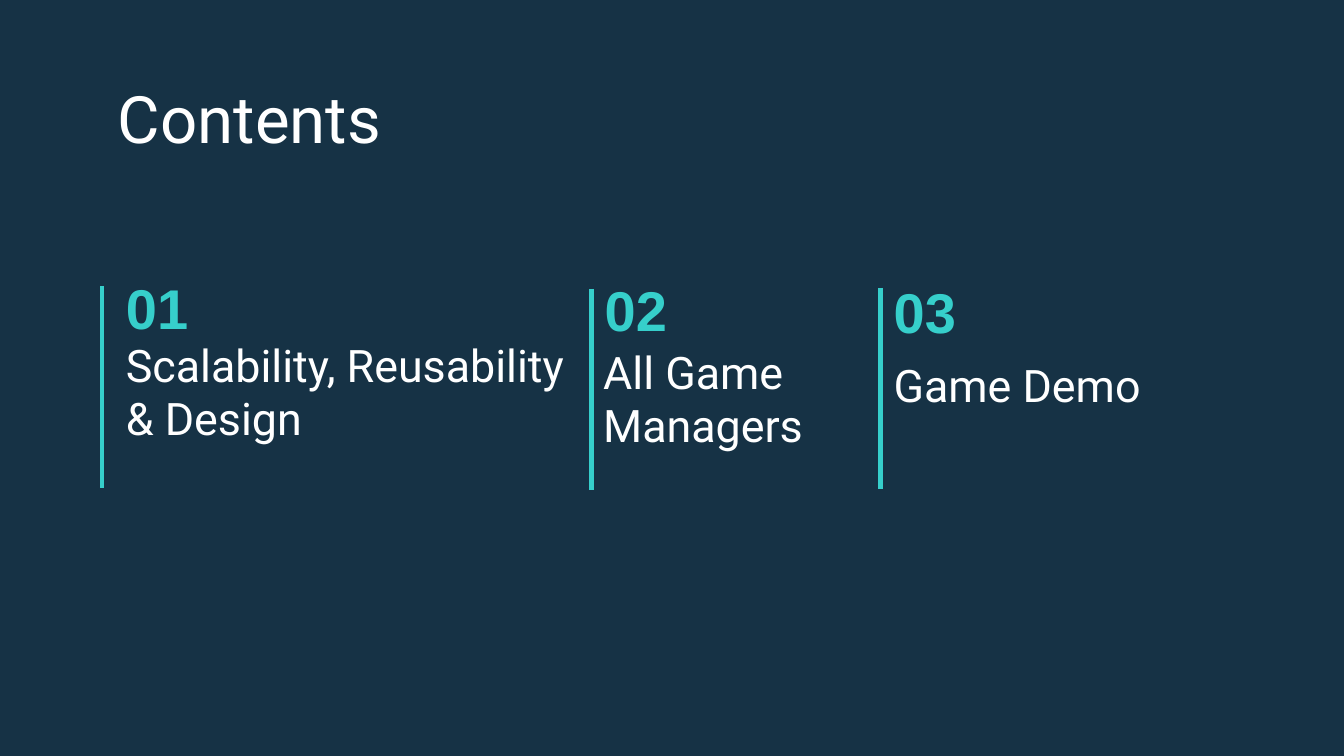
from lxml import etree
from pptx import Presentation
from pptx.dml.color import RGBColor
from pptx.enum.shapes import MSO_CONNECTOR
from pptx.enum.text import MSO_ANCHOR
from pptx.oxml.ns import qn
from pptx.util import Cm, Pt

STRAIGHT = MSO_CONNECTOR.STRAIGHT
TOP, MIDDLE, BOTTOM = MSO_ANCHOR.TOP, MSO_ANCHOR.MIDDLE, MSO_ANCHOR.BOTTOM

COLORS = {"background": "163245", "text": "FFFFFF", "accent": "36CFCB"}
INSET = Cm(0.25)
RULE_LENGTH = 3.81
NUMBER_SIZE = (2.03, 1.6)
CAPTION_WIDTH = 8.84

# number, number position, caption lines, caption position, caption height, rule start
SECTIONS = [
    ("01", (2.13, 5.0), ["Scalability, Reusability & Design"], (2.13, 6.63), 2.03, (1.93, 5.41)),
    ("02", (11.18, 5.05), ["All Game", "Managers"], (11.15, 7.44), 1.35, (11.18, 5.46)),
    ("03", (16.64, 5.08), ["Game Demo"], (16.64, 6.68), 1.35, (16.64, 5.44)),
]


def color(name):
    return RGBColor.from_string(COLORS[name])


def add_text(slide, lines, position, size, points, font="Roboto",
             color_name="text", bold=False, anchor=TOP, spacing=1.0):
    box = slide.shapes.add_textbox(*map(Cm, position + size))
    frame = box.text_frame
    frame.word_wrap = True
    frame.vertical_anchor = anchor
    frame.margin_left = frame.margin_right = INSET
    frame.margin_top = frame.margin_bottom = INSET
    frame.text = "\n".join(lines)
    for paragraph in frame.paragraphs:
        paragraph.line_spacing = spacing
        paragraph.font.name = font
        paragraph.font.size = Pt(points)
        paragraph.font.bold = bold
        paragraph.font.color.rgb = color(color_name)


def add_rule(slide, start):
    x, y = start
    rule = slide.shapes.add_connector(STRAIGHT, Cm(x), Cm(y), Cm(x), Cm(y + RULE_LENGTH))
    rule.line.color.rgb = color("accent")
    rule.line.width = Pt(2.25)
    etree.SubElement(rule._element.spPr, qn("a:effectLst"))


def add_section(slide, number, number_at, caption, caption_at, caption_height, rule_at):
    add_text(slide, [number], number_at, NUMBER_SIZE, 30, font="Arial",
             color_name="accent", bold=True, anchor=MIDDLE)
    add_text(slide, caption, caption_at, (CAPTION_WIDTH, caption_height), 24, anchor=BOTTOM)
    add_rule(slide, rule_at)


def main():
    presentation = Presentation()
    presentation.slide_width, presentation.slide_height = Cm(25.4), Cm(14.29)
    slide = presentation.slides.add_slide(presentation.slide_layouts[6])

    # Background
    slide.background.fill.solid()
    slide.background.fill.fore_color.rgb = color("background")

    # Heading
    add_text(slide, ["Contents"], (1.98, 1.52), (21.44, 1.6), 35, spacing=0.8)

    # Numbered sections
    for section in SECTIONS:
        add_section(slide, *section)

    presentation.save("out.pptx")


if __name__ == "__main__":
    main()
